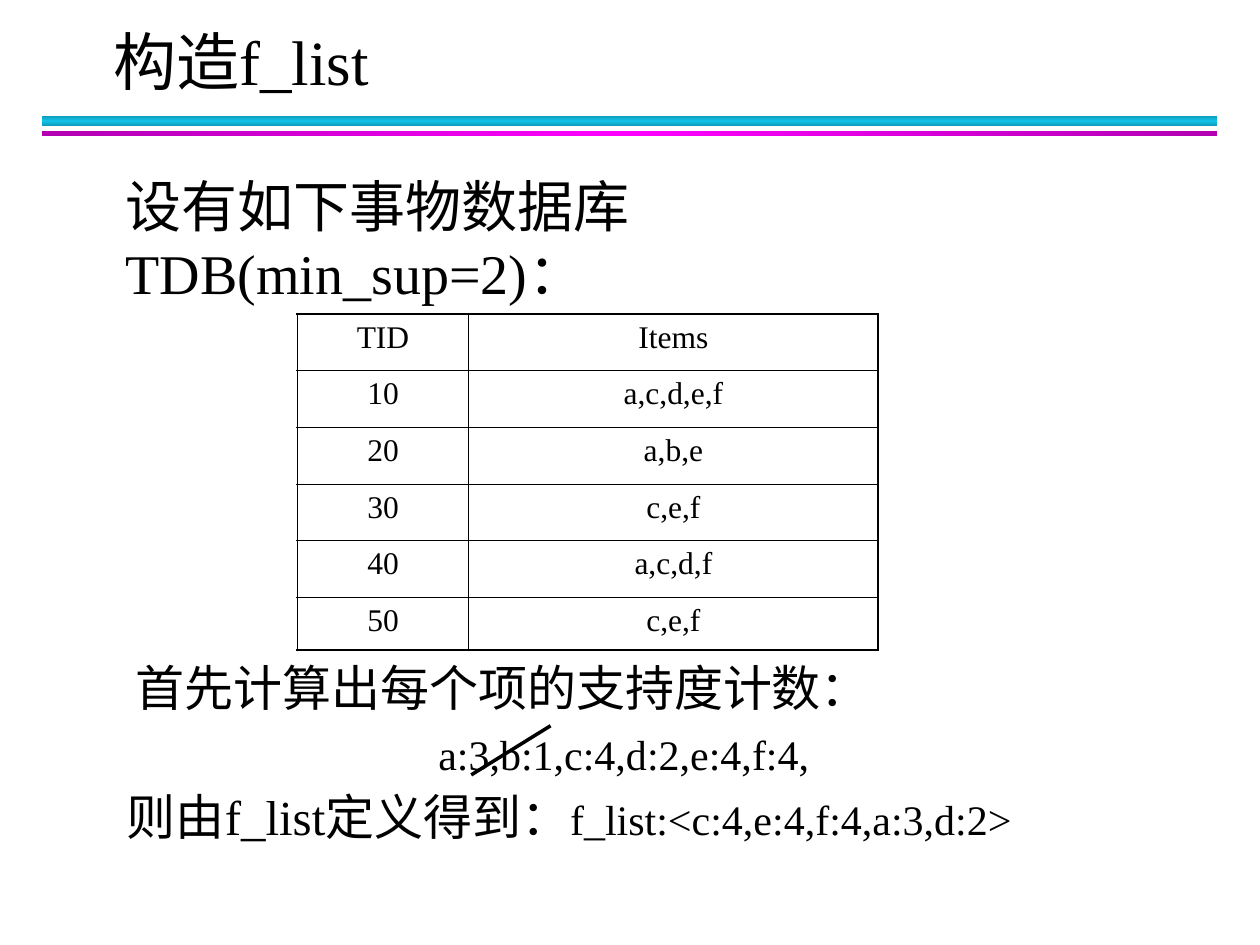
import copy

import lxml.etree
import pptx
import pptx.dml.color
import pptx.enum.shapes
import pptx.enum.text
import pptx.oxml
import pptx.oxml.ns
import pptx.util

Inches, Pt = pptx.util.Inches, pptx.util.Pt
ALIGN, ANCHOR = pptx.enum.text.PP_ALIGN, pptx.enum.text.MSO_ANCHOR
SHAPES = pptx.enum.shapes
qn = pptx.oxml.ns.qn

COLORS = {"text": "000000", "teal": "0E9BBA", "cyan": "12C2E9",
          "plum": "B200B2", "pink": "FF00FF"}
FONT = "Times New Roman"

TITLE = "构造f_list"
BARS = [  # top, height, edge colour, middle colour, angle
    (0.92, 0.08, "teal", "cyan", 90),
    (1.04, 0.04, "plum", "pink", 0),
]
ROWS = [
    ("TID", "Items"),
    ("10", "a,c,d,e,f"),
    ("20", "a,b,e"),
    ("30", "c,e,f"),
    ("40", "a,c,d,f"),
    ("50", "c,e,f"),
]
COLS = [1.36, 3.25]
HEIGHTS = [0.45] * 5 + [0.42]
THICK, THIN = 1.08, 0.45
NOTES = [  # place, runs with sizes, alignment, wrap
    ((0.9, 1.31, 7.76, 0.64), [("设有如下事物数据库TDB(min_sup=2)：", 32)], ALIGN.LEFT, True),
    ((0.98, 5.17, 6.89, 0.57), [("首先计算出每个项的支持度计数：", 28)], ALIGN.LEFT, True),
    ((3.34, 5.73, 3.22, 0.5), [("a:3,b:1,c:4,d:2,e:4,f:4, ", 24)], ALIGN.CENTER, False),
    ((0.91, 6.19, 8.54, 0.57),
     [("则由f_list定义得到：", 28), ("f_list:<c:4,e:4,f:4,a:3,d:2>", 24)], ALIGN.LEFT, True),
]
STRIKE = (4.37, 5.76, 3.74, 6.15)


def rgb(name):
    return pptx.dml.color.RGBColor.from_string(COLORS[name])


def write(frame, runs, align):
    para = frame.paragraphs[0]
    para.alignment = align
    for text, size in runs:
        run = para.add_run()
        run.text = text
        for key, value in {"name": FONT, "size": Pt(size), "bold": False}.items():
            setattr(run.font, key, value)
        run.font.color.rgb = rgb("text")


def add_bar(slide, top, height, edge, middle, angle):
    """Add a rule whose colour runs from edge to middle and back."""
    bar = slide.shapes.add_shape(SHAPES.MSO_SHAPE.RECTANGLE, Inches(0.33),
                                 Inches(top), Inches(9.33), Inches(height))
    bar.shadow.inherit = False
    bar.line.fill.background()
    bar.fill.gradient()
    bar.fill.gradient_angle = angle
    stops = bar._element.spPr.find(".//" + qn("a:gsLst"))
    stops.append(copy.deepcopy(stops[0]))
    for stop, name, pos in zip(bar.fill.gradient_stops, (edge, middle, edge), (0, 0.5, 1)):
        stop.color.rgb = rgb(name)
        stop.position = pos


def set_border(cell, side, width):
    line = pptx.oxml.parse_xml(
        f'<a:{side} xmlns:a="http://schemas.openxmlformats.org/drawingml/2006/main" '
        f'w="{Pt(width)}"><a:solidFill><a:srgbClr val="{COLORS["text"]}"/>'
        f'</a:solidFill></a:{side}>')
    cell._tc.get_or_add_tcPr().append(line)


def add_items(slide):
    table = slide.shapes.add_table(len(ROWS), len(COLS), Inches(2.36), Inches(2.49),
                                   Inches(sum(COLS)), Inches(sum(HEIGHTS))).table
    table.first_row = table.horz_banding = False
    for col, width in zip(table.columns, COLS):
        col.width = Inches(width)
    for row, height in zip(table.rows, HEIGHTS):
        row.height = Inches(height)
    for r, texts in enumerate(ROWS):
        for c, text in enumerate(texts):
            cell = table.cell(r, c)
            write(cell.text_frame, [(text, 18)], ALIGN.CENTER)
            outer = {"lnL": c == 0, "lnR": c == len(COLS) - 1,
                     "lnT": r == 0, "lnB": r == len(ROWS) - 1}
            for side, edge in outer.items():
                set_border(cell, side, THICK if edge else THIN)
            cell.fill.background()


def main():
    deck = pptx.Presentation()
    deck.slide_width, deck.slide_height = Inches(10), Inches(7.5)
    slide = deck.slides.add_slide(deck.slide_layouts[5])

    for bar in BARS:
        add_bar(slide, *bar)

    title = slide.shapes.title
    place = {"left": 0.8, "top": 0.18, "width": 9, "height": 0.6}
    for key, value in place.items():
        setattr(title, key, Inches(value))
    title.text_frame.vertical_anchor = ANCHOR.MIDDLE
    write(title.text_frame, [(TITLE, 36)], ALIGN.LEFT)

    add_items(slide)
    for spot, runs, align, wrap in NOTES:
        frame = slide.shapes.add_textbox(*map(Inches, spot)).text_frame
        frame.word_wrap = wrap
        write(frame, runs, align)

    strike = slide.shapes.add_connector(SHAPES.MSO_CONNECTOR.STRAIGHT, *map(Inches, STRIKE))
    strike.line.color.rgb = rgb("text")
    strike.line.width = Pt(2)
    lxml.etree.SubElement(strike._element.spPr, qn("a:effectLst"))

    deck.save("out.pptx")


if __name__ == "__main__":
    main()
